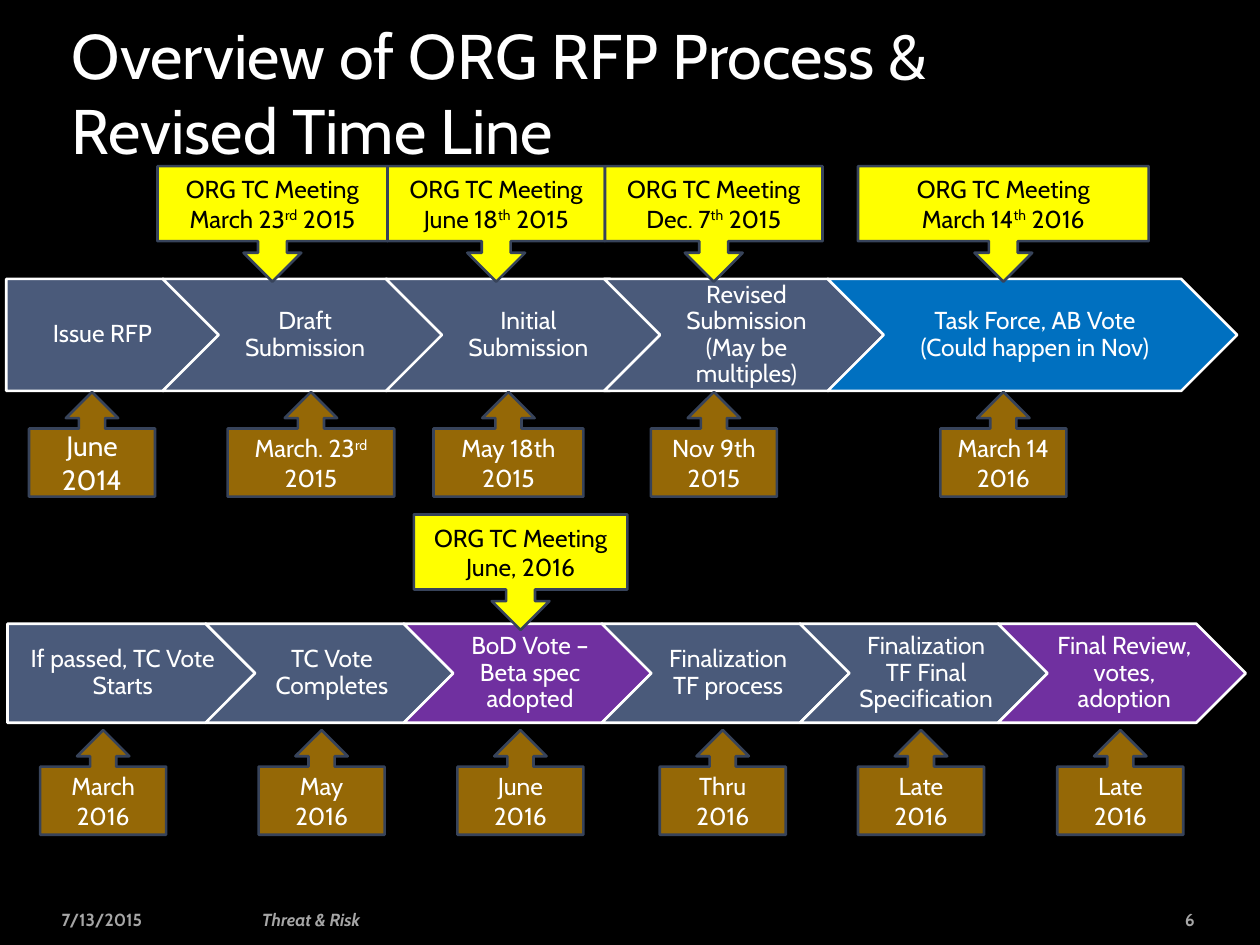
"""Build the slide on the RFP process and its revised time line."""
import pptx
import pptx.dml.color
import pptx.enum.shapes
import pptx.enum.text
import pptx.util

Pt = pptx.util.Pt
RGB = pptx.dml.color.RGBColor
SHAPE = pptx.enum.shapes.MSO_SHAPE
ALIGN = pptx.enum.text.PP_ALIGN
ANCHOR = pptx.enum.text.MSO_ANCHOR

BLACK, WHITE = RGB(0x00, 0x00, 0x00), RGB(0xFF, 0xFF, 0xFF)
SLATE, BLUE, PURPLE = RGB(0x4A, 0x5A, 0x7A), RGB(0x00, 0x70, 0xC0), RGB(0x70, 0x30, 0xA0)
BROWN, YELLOW = RGB(0x95, 0x68, 0x06), RGB(0xFF, 0xFF, 0x00)
EDGE, GREY = RGB(0x37, 0x43, 0x5A), RGB(0xA6, 0xA6, 0xA6)
FONT = "Cabin"

TITLE = "Overview of ORG RFP Process & Revised Time Line"
MEETING = "ORG TC Meeting"

SUBMISSION_STEPS = [
    ("Issue RFP", 3.6, 121.7, SLATE),
    ("Draft Submission", 93, 160, SLATE),
    ("Initial Submission", 220.6, 160, SLATE),
    ("Revised Submission (May be multiples)", 345.2, 160, SLATE),
    ("Task Force, AB Vote\n(Could happen in Nov)", 473, 234, BLUE),
]
ADOPTION_STEPS = [
    ("If passed, TC Vote Starts", SLATE),
    ("TC Vote Completes", SLATE),
    ("BoD Vote – Beta spec adopted", PURPLE),
    ("Finalization TF process", SLATE),
    ("Finalization TF Final Specification", SLATE),
    ("Final Review, votes, adoption", PURPLE),
]
ADOPTION_LEFT, ADOPTION_PITCH, ADOPTION_WIDTH = 4.3, 113.2, 141.6

SUBMISSION_DATES = [
    (["June 2014"], 16.6, 72, 16),
    (["March. 23^rd", "2015"], 130.1, 95.2, 14),
    (["May 18th", "2015"], 247.7, 85.7, 14),
    (["Nov 9th", "2015"], 372, 72, 14),
    (["March 14 2016"], 537.4, 72, 14),
]
ADOPTION_DATES = [
    ("March 2016", 23), ("May 2016", 147.8), ("June 2016", 261.4),
    ("Thru 2016", 377), ("Late 2016", 490.3), ("Late 2016", 604.2),
]
MEETINGS = [
    ("March 23^rd^ 2015", 90, 95, 131.4),
    ("June 18^th^ 2015", 221.4, 95, 124.3),
    ("Dec. 7^th^ 2015", 345.7, 95, 124.3),
    ("March 14^th^ 2016", 490.3, 95, 166.1),
    ("June, 2016", 236.5, 294, 122),
]
FOOTER = [
    ("7/13/2015", 28.1, 115, ALIGN.LEFT, False),
    ("Threat & Risk", 142.6, 322, ALIGN.LEFT, True),
    ("6", 620.6, 69.1, ALIGN.RIGHT, False),
]


def add_runs(p, text, size, color, bold, italic):
    for row, line in enumerate(text.split("\n")):
        if row:
            p.add_line_break()
        for i, piece in enumerate(line.split("^")):
            r = p.add_run()
            r.text = piece
            r.font.name, r.font.size = FONT, Pt(size)
            r.font.color.rgb = color
            r.font.bold, r.font.italic = bold, italic
            if i % 2:
                r.font._element.set("baseline", "30000")


def write(sp, paragraphs, size, color, align=ALIGN.CENTER, anchor=ANCHOR.MIDDLE,
          spacing=None, bold=False, italic=False):
    tf = sp.text_frame
    tf.word_wrap = True
    tf.vertical_anchor = anchor
    for i, text in enumerate(paragraphs):
        p = tf.add_paragraph() if i else tf.paragraphs[0]
        p.alignment = align
        if spacing:
            p.line_spacing = spacing
        add_runs(p, text, size, color, bold, italic)


def add_block(s, kind, box, fill, line):
    sp = s.shapes.add_shape(kind, *map(Pt, box))
    sp.shadow.inherit = False
    sp.fill.solid()
    sp.fill.fore_color.rgb = fill
    sp.line.color.rgb = line
    sp.line.width = Pt(1.5)
    return sp


def add_steps(s, steps, top, height):
    for i, (text, left, width, fill) in enumerate(steps):
        kind = SHAPE.CHEVRON if i else SHAPE.PENTAGON
        sp = add_block(s, kind, (left, top, width, height), fill, WHITE)
        tf = sp.text_frame
        tf.margin_left, tf.margin_right = Pt(4.2 if i else 5.6), Pt(1.4)
        tf.margin_top = tf.margin_bottom = Pt(2.8)
        write(sp, [text], 14, WHITE, spacing=0.9)


def add_dates(s, dates, top):
    for paragraphs, left, width, size in dates:
        sp = add_block(s, SHAPE.UP_ARROW_CALLOUT, (left, top, width, 59.8), BROWN, EDGE)
        write(sp, paragraphs, size, WHITE)


def add_text(s, box, text, size, color, **style):
    sp = s.shapes.add_textbox(*map(Pt, box))
    write(sp, [text], size, color, **style)


def main():
    prs = pptx.Presentation()
    prs.slide_width, prs.slide_height = Pt(720), Pt(540)
    s = prs.slides.add_slide(prs.slide_layouts[6])
    s.background.fill.solid()
    s.background.fill.fore_color.rgb = BLACK

    add_text(s, (34, 15.1, 604.8, 84.2), TITLE, 36, WHITE,
             align=ALIGN.LEFT, anchor=ANCHOR.BOTTOM)
    for text, left, width, align, italic in FOOTER:
        add_text(s, (left, 515.5, width, 19.4), text, 10, GREY,
                 align=align, bold=True, italic=italic)

    add_steps(s, SUBMISSION_STEPS, 159.4, 64)
    add_steps(s, [(text, ADOPTION_LEFT + i * ADOPTION_PITCH, ADOPTION_WIDTH, fill)
                  for i, (text, fill) in enumerate(ADOPTION_STEPS)], 356.4, 56.6)
    add_dates(s, SUBMISSION_DATES, 224)
    add_dates(s, [([text], left, 72, 14) for text, left in ADOPTION_DATES], 417.2)
    for date, left, top, width in MEETINGS:
        sp = add_block(s, SHAPE.DOWN_ARROW_CALLOUT, (left, top, width, 66), YELLOW, EDGE)
        write(sp, [MEETING, date], 14, BLACK)

    prs.save("out.pptx")


if __name__ == "__main__":
    main()
